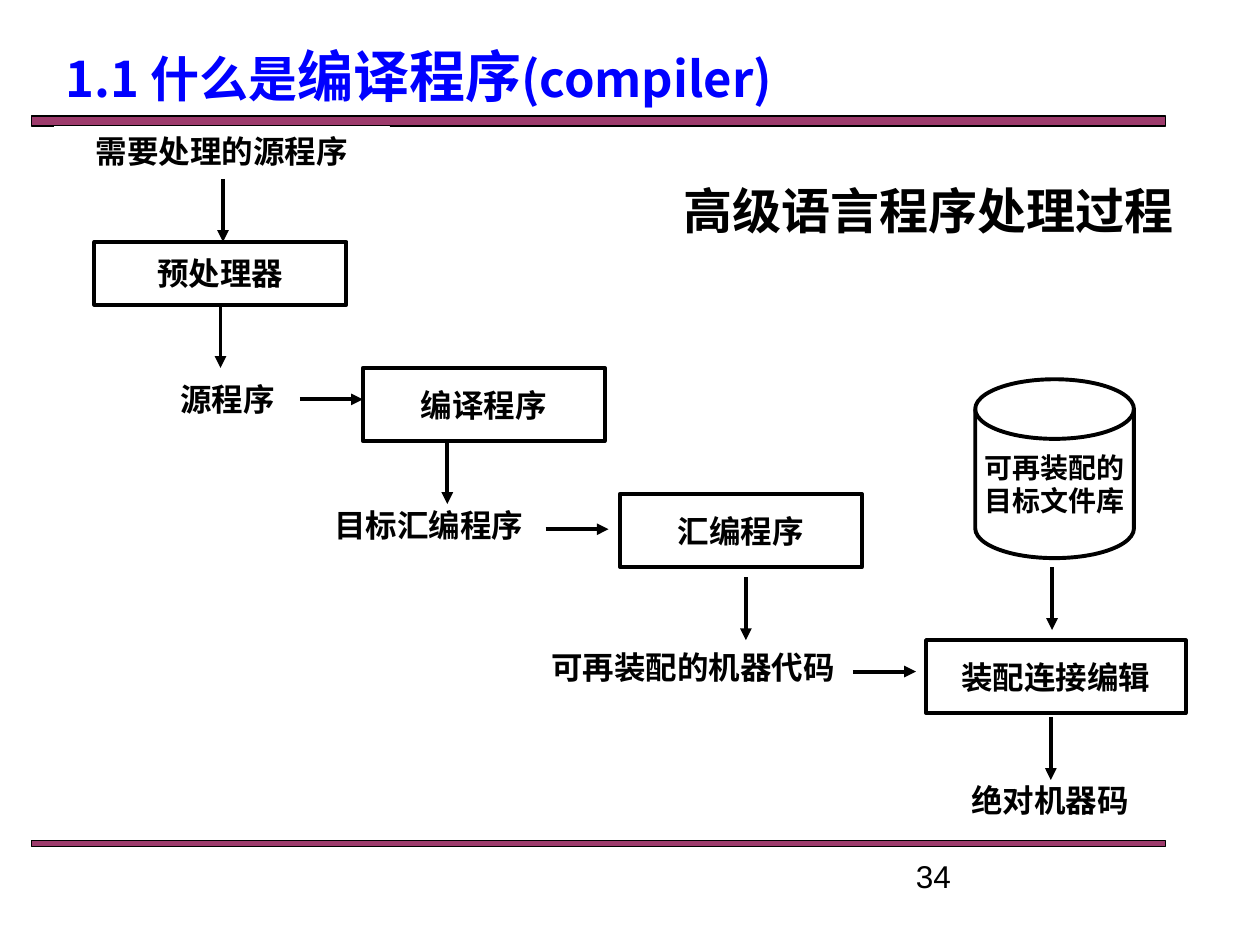
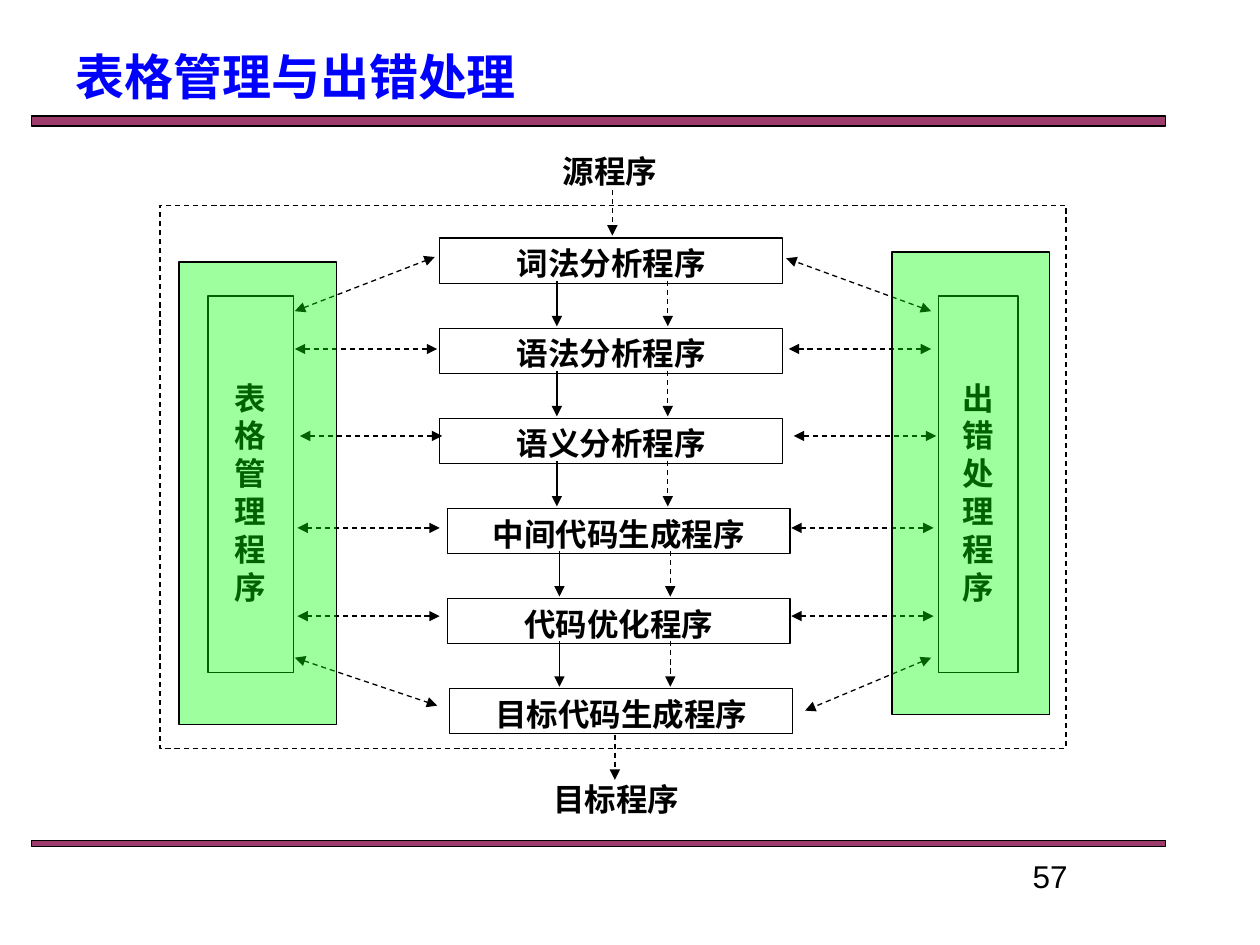
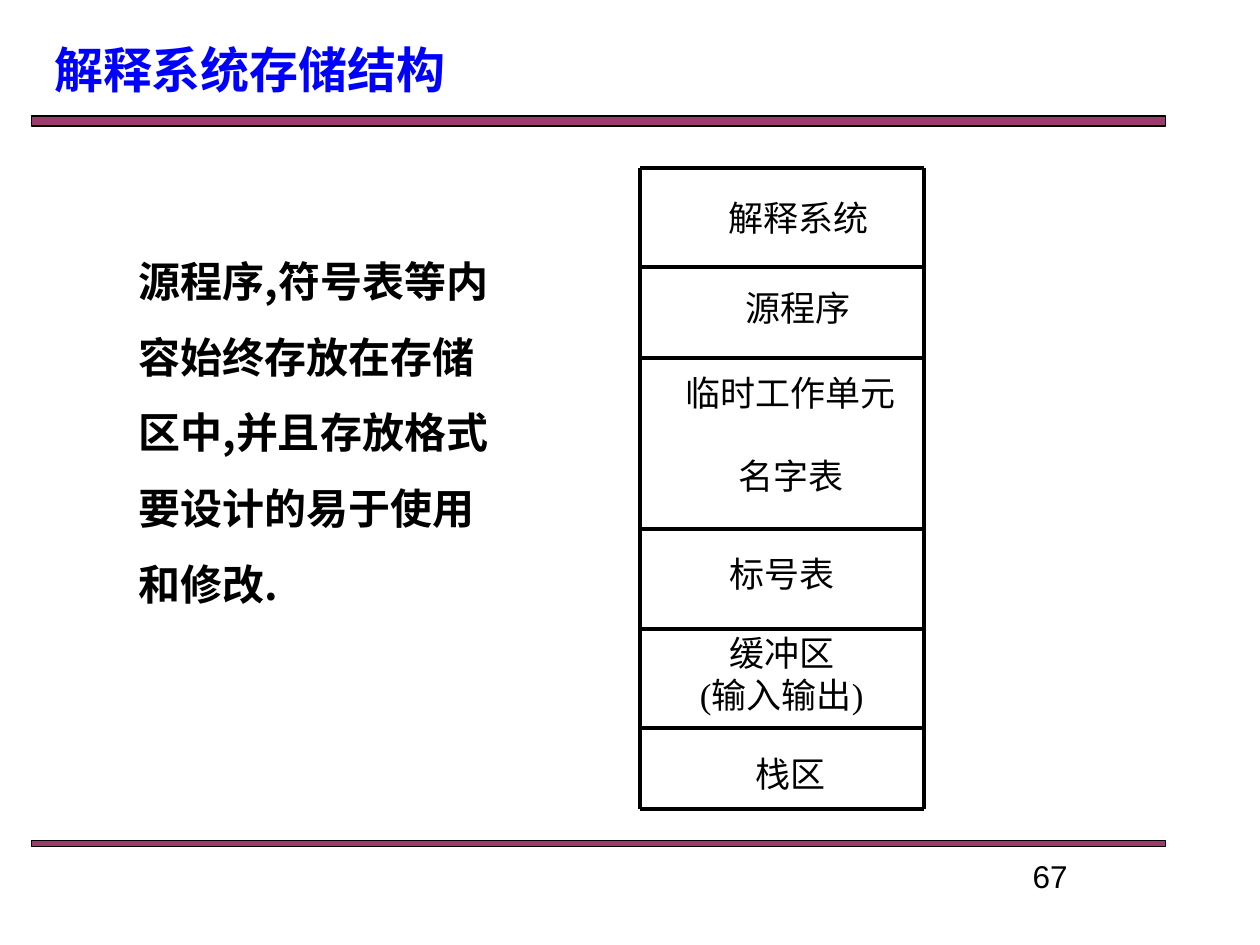
from dataclasses import dataclass

from lxml import etree
from pptx import Presentation, util as u
from pptx.dml.color import RGBColor
from pptx.enum import dml, shapes, text
from pptx.oxml.ns import qn


@dataclass(frozen=True)
class Theme:
    ink: str = "000000"
    paper: str = "FFFFFF"
    blue: str = "0000FF"
    plum: str = "993366"
    green: str = "00FF00"
    sans: str = "Noto Sans CJK SC"
    serif: str = "Times New Roman"
    plain: str = "Arial"
    big: int = 32
    head: int = 28
    body: int = 24
    cell: int = 20
    label: int = 18
    small: int = 16
    thin: float = 0.75
    thick: float = 2.25


T = Theme()
RECT = shapes.MSO_SHAPE.RECTANGLE
DISK = shapes.MSO_SHAPE.FLOWCHART_MAGNETIC_DISK
DASH = dml.MSO_LINE.DASH
LEFT, MID = text.PP_ALIGN.LEFT, text.PP_ALIGN.CENTER
TOP, CENTER = text.MSO_ANCHOR.TOP, text.MSO_ANCHOR.MIDDLE


def put(shape, at, paras=(), size=T.label, font=T.sans, color=T.ink, bold=True,
        align=MID, anchor=CENTER, wrap=False, fill=None, alpha=None,
        edge=None, width=T.thick, dash=None):
    """Place a shape, style it and write its paragraphs, each a list of runs."""
    shape.left, shape.top, shape.width, shape.height = map(u.Inches, at)
    shape.shadow.inherit = False
    if fill:
        shape.fill.solid()
        shape.fill.fore_color.rgb = RGBColor.from_string(fill)
        if alpha:
            tint = shape.element.spPr.find(".//" + qn("a:srgbClr"))
            etree.SubElement(tint, qn("a:alpha"), val=str(alpha * 1000))
    else:
        shape.fill.background()
    if edge:
        shape.line.color.rgb = RGBColor.from_string(edge)
        shape.line.width = u.Pt(width)
        if dash:
            shape.line.dash_style = dash
    else:
        shape.line.fill.background()
    frame = shape.text_frame
    frame.auto_size = text.MSO_AUTO_SIZE.NONE
    frame.word_wrap = wrap
    frame.vertical_anchor = anchor
    for i, runs in enumerate(paras):
        para = frame.add_paragraph() if i else frame.paragraphs[0]
        para.alignment = align
        for words in runs:
            run = para.add_run()
            run.text = words
            run.font.size, run.font.bold, run.font.name = u.Pt(size), bold, font
            run.font.color.rgb = RGBColor.from_string(color)
            etree.SubElement(run.font._element, qn("a:ea"), typeface=T.sans)
    return shape


def link(art, x1, y1, x2, y2, width=T.thick, dash=None, ends=("tailEnd",)):
    """Draw a straight line with a triangle at each of the named ends."""
    line = art.add_connector(shapes.MSO_CONNECTOR.STRAIGHT,
                             *map(u.Inches, (x1, y1, x2, y2)))
    line.line.color.rgb = RGBColor.from_string(T.ink)
    line.line.width = u.Pt(width)
    if dash:
        line.line.dash_style = dash
    props = line.element.spPr
    for end in ends:
        etree.SubElement(props.find(qn("a:ln")), qn("a:" + end), type="triangle")
    etree.SubElement(props, qn("a:effectLst"))


deck = Presentation()
deck.slide_width, deck.slide_height = u.Inches(10), u.Inches(7.5)
layout = deck.slide_layouts[5]

# Titles and page numbers
pages = [
    (["1.1 什么是", "编译程序", "(compiler)"], (0.42, 0.25, 9, 0.7), "34", LEFT),
    (["表格管理与出错处理"], (0.5, 0.42, 9, 0.37), "57", MID),
    (["解释系统存储结构"], (0.33, 0.21, 8.17, 0.67), "67", LEFT),
]
for runs, at, number, side in pages:
    slide = deck.slides.add_slide(layout)
    put(slide.shapes.title, at, [runs], T.head, color=T.blue, align=LEFT, wrap=True)
    put(slide.shapes.add_textbox(0, 0, 0, 0), (7.17, 6.75, 2.33, 0.42), [[number]],
        font=T.plain, bold=False, align=LEFT if number == "34" else MID,
        anchor=TOP, wrap=True)
flow, parts, store = (slide.shapes for slide in deck.slides)
flow.title.text_frame.paragraphs[0].runs[1].font.size = u.Pt(T.big)

# Bands shared through the layout
for top, high in ((0.92, 0.08), (6.67, 0.05)):
    band = put(flow.add_shape(RECT, 0, 0, 0, 0), (0.25, top, 9, high),
               fill=T.plum, alpha=96, edge=T.ink, width=T.thin)
    layout.shapes.element.append(band.element)

# Slide 1: from source text to machine code
steps = [
    ("预处理器", (0.75, 1.92, 2, 0.5)),
    ("编译程序", (2.88, 2.92, 1.92, 0.58)),
    ("汇编程序", (4.92, 3.92, 1.92, 0.58)),
    ("装配连接编辑", (7.35, 5.08, 2.06, 0.58)),
]
labels = [
    ("需要处理的源程序", (0.43, 1, 2.66, 0.39), T.label),
    ("源程序", (0.97, 2.92, 1.67, 0.5), T.label),
    ("目标汇编程序", (2.32, 3.92, 2.17, 0.5), T.label),
    ("可再装配的机器代码", (4, 5, 3, 0.58), T.label),
    ("绝对机器码", (7.17, 6.1, 2.33, 0.5), T.label),
    ("高级语言程序处理过程", (5.58, 1.17, 3.58, 1), T.head),
]
for name, at in steps:
    put(flow.add_shape(RECT, 0, 0, 0, 0), at, [[name]], fill=T.paper, edge=T.ink)
for name, at, size in labels:
    put(flow.add_shape(RECT, 0, 0, 0, 0), at, [[name]], size,
        fill=T.paper, edge=T.paper, width=0.5)
put(flow.add_shape(DISK, 0, 0, 0, 0), (7.74, 3.01, 1.26, 1.42),
    [["可再装配的"], ["目标文件库"]], T.small, fill=T.paper, edge=T.ink)
for x, y in ((1.77, 1.42), (1.75, 2.42), (3.55, 3.5), (5.92, 4.58),
             (8.35, 4.5), (8.34, 5.69)):
    link(flow, x, y, x, y + 0.5)
for x, y in ((2.38, 3.17), (4.33, 4.2), (6.77, 5.33)):
    link(flow, x, y, x + 0.5, y)

# Slide 2: compiler phases between two service programs
phases = ["词法分析程序", "语法分析程序", "语义分析程序",
          "中间代码生成程序", "代码优化程序", "目标代码生成程序"]
lefts = [3.49, 3.49, 3.49, 3.55, 3.55, 3.57]
first, pitch, wide, high = 1.89, 0.715, 2.72, 0.36
for name, x, y in (("源程序", 3.48, 1.16), ("目标程序", 3.53, 6.14)):
    put(parts.add_textbox(0, 0, 0, 0), (x, y, wide, high), [[name]],
        font=T.serif, anchor=TOP, wrap=True)
for i, (name, x) in enumerate(zip(phases, lefts)):
    put(parts.add_shape(RECT, 0, 0, 0, 0), (x, first + i * pitch, wide, high),
        [[name]], font=T.serif, anchor=TOP, wrap=True,
        fill=T.paper, edge=T.ink, width=T.thin)
for name, x, w in (("表格管理程序", 1.65, 0.68), ("出错处理程序", 7.45, 0.63)):
    tower = put(parts.add_shape(RECT, 0, 0, 0, 0), (x, 2.35, w, 2.99), [[name]],
                font=T.serif, wrap=True, fill=T.paper, edge=T.ink, width=T.thin)
    tower.text_frame.margin_top = u.Inches(0.17)

for i in range(len(phases) - 1):
    y = first + i * pitch + 0.34
    shift = 0.02 if i > 2 else 0
    for x, dash in ((4.42, None), (5.3, DASH)):
        link(parts, x + shift, y, x + shift, y + high, T.thin, dash)
for x, y in ((4.86, 1.51), (4.88, 5.83)):
    link(parts, x, y, x, y + high, T.thin, DASH)

both = ("headEnd", "tailEnd")
for x, y in ((2.34, 2.77), (2.38, 3.46), (2.36, 4.19), (2.36, 4.89)):
    for start in (x, x + 3.92):
        link(parts, start, y, start + 1.13, y, T.thin, DASH, both)
for ray in ((2.34, 2.47, 3.45, 2.04), (2.34, 5.22, 3.47, 5.6),
            (7.39, 2.47, 6.24, 2.05), (7.39, 5.22, 6.39, 5.64)):
    link(parts, *ray, T.thin, DASH, both)

put(parts.add_shape(RECT, 0, 0, 0, 0), (1.27, 1.63, 7.19, 4.31),
    edge=T.ink, width=T.thin, dash=DASH)
for x, y in ((1.42, 2.08), (7.08, 2)):
    put(parts.add_shape(RECT, 0, 0, 0, 0), (x, y, 1.25, 3.67),
        fill=T.green, alpha=38, edge=T.ink, width=T.thin)

# Slide 3: memory map of the interpreter
near, far = 5.08, 7.33
rules = [1.33, 2.12, 2.84, 4.2, 4.99, 5.78, 6.42]
for y in rules:
    link(store, near, y, far, y, ends=())
for x in (near, far):
    link(store, x, rules[0], x, rules[-1], ends=())
zones = [
    (["解释系统"], 5.94, 1.55, 0.36),
    (["源程序"], 5.94, 2.26, 0.36),
    (["临时工作单元", "名字表"], 5.88, 2.98, 0.93),
    (["标号表"], 5.81, 4.34, 0.43),
    (["缓冲区", "(输入输出)"], 5.81, 5.13, 0.43),
    (["栈区"], 5.88, 5.99, 0.29),
]
for names, x, y, h in zones:
    zone = put(store.add_shape(RECT, 0, 0, 0, 0), (x, y, 0.79, h),
               [[name] for name in names], T.cell, T.serif, bold=False,
               fill=T.paper, edge=T.paper)
    if "名字表" in names:
        zone.text_frame.paragraphs[0].space_after = u.Pt(23)

note = put(store.add_textbox(0, 0, 0, 0), (1, 1.78, 3.11, 3.13),
           [["源程序,符号表等内容始终存放在存储区中,并且存放格式要设计的易于使用和修改."]],
           T.body, align=LEFT, anchor=TOP, wrap=True)
note.text_frame.paragraphs[0].line_spacing = 1.5

deck.save("out.pptx")
